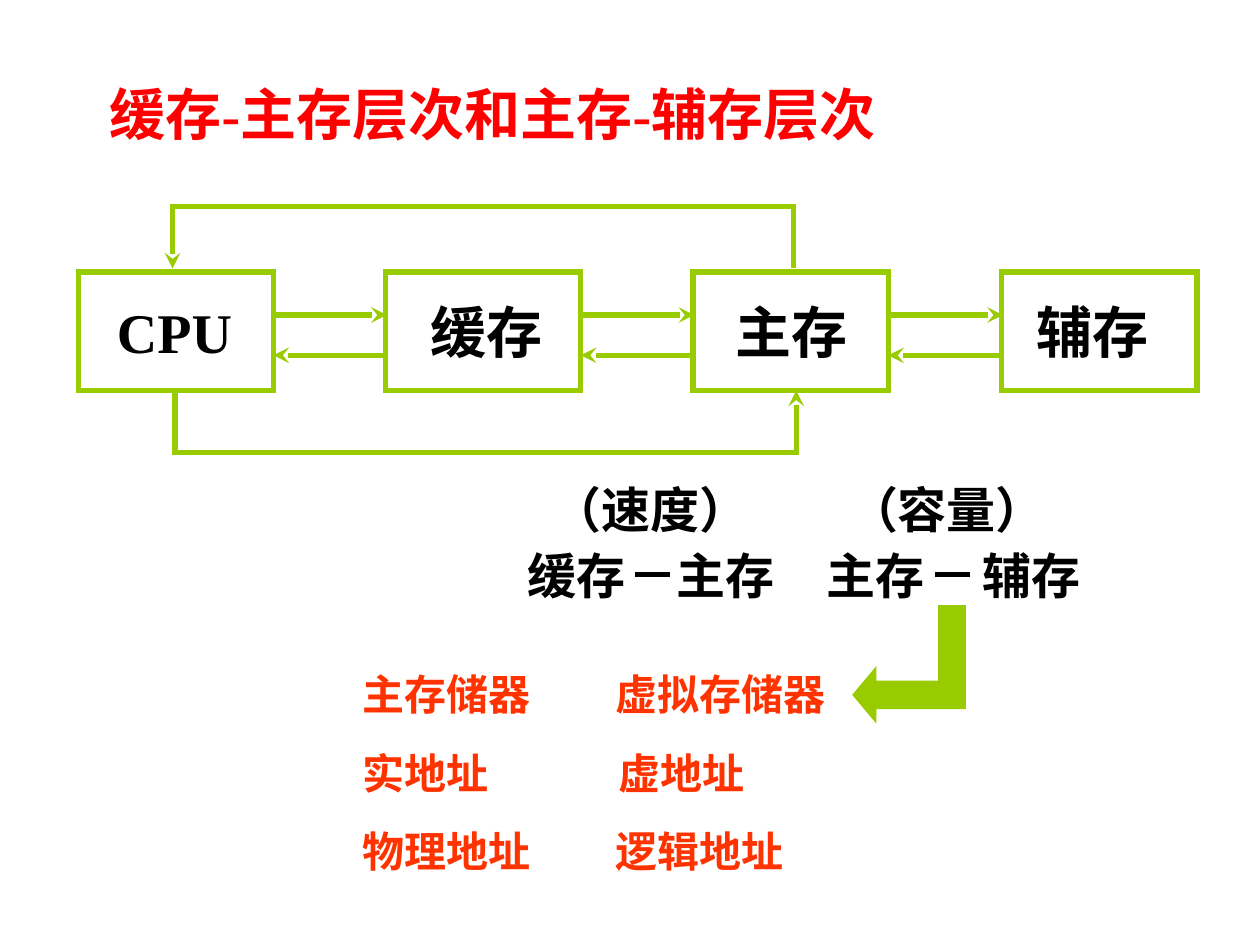
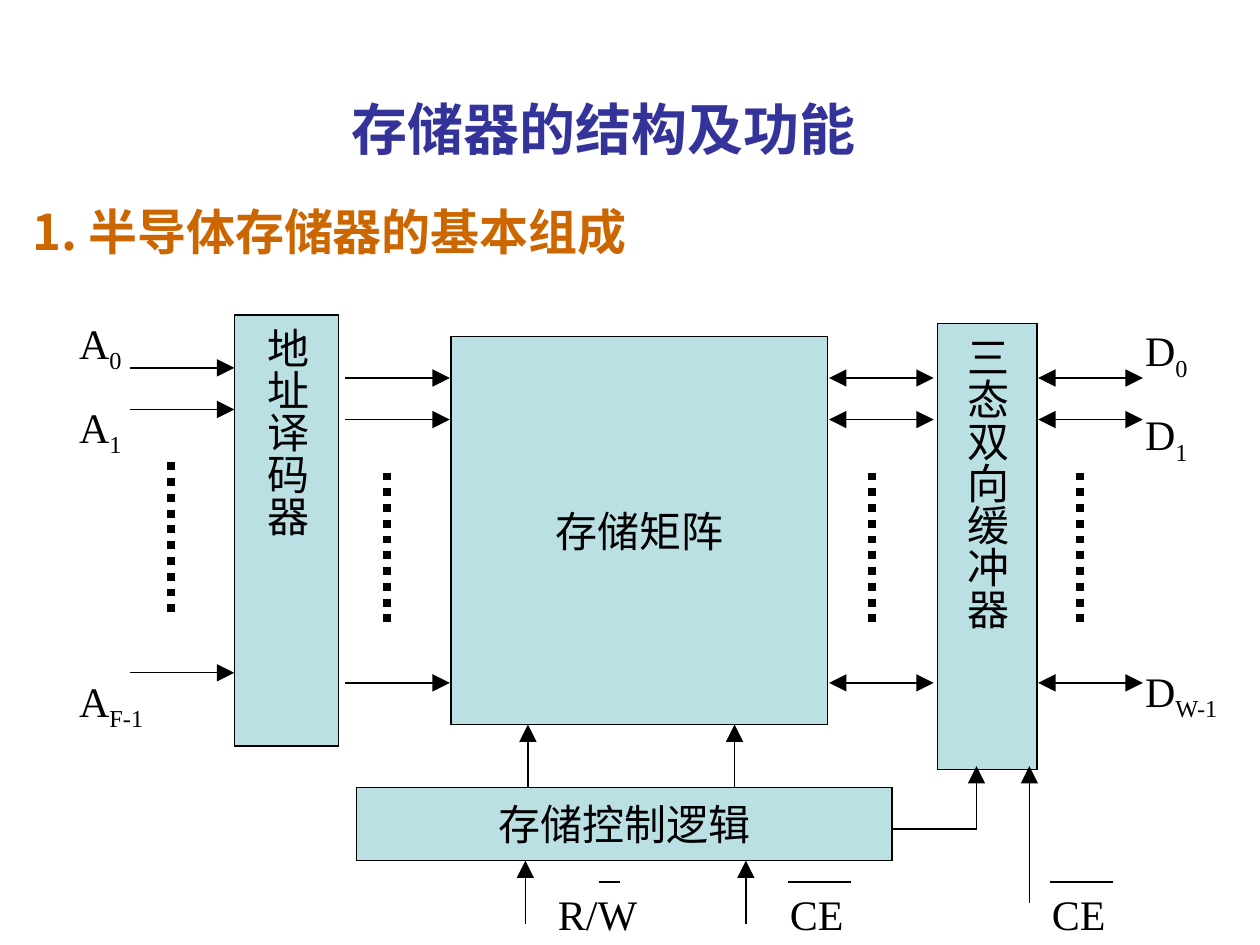
from itertools import pairwise

from lxml import etree
from pptx import Presentation
from pptx.dml.color import RGBColor
from pptx.enum.dml import MSO_LINE
from pptx.enum.shapes import MSO_CONNECTOR, MSO_SHAPE
from pptx.enum.text import MSO_ANCHOR, MSO_AUTO_SIZE, PP_ALIGN
from pptx.oxml.ns import qn
from pptx.util import Pt

PX = 9144
RECTANGLE = MSO_SHAPE.RECTANGLE
LEFT_ARROW = MSO_SHAPE.LEFT_ARROW
ROUNDED_PROCESS = MSO_SHAPE.FLOWCHART_ALTERNATE_PROCESS
STRAIGHT = MSO_CONNECTOR.STRAIGHT
DOTTED = MSO_LINE.ROUND_DOT
MIDDLE = MSO_ANCHOR.MIDDLE
TOP = MSO_ANCHOR.TOP
CENTER = PP_ALIGN.CENTER
LEFT = PP_ALIGN.LEFT
GROW = MSO_AUTO_SIZE.SHAPE_TO_FIT_TEXT

SERIF = "Times New Roman"
SANS = "Noto Sans CJK SC"
ARROW_SIZES = {"stealth": "med", "triangle": "lg"}
COLORS = {
    "black": "000000",
    "green": "99CC00",
    "red": "FF0000",
    "orange": "FF3300",
    "navy": "333399",
    "brown": "CC6600",
    "aqua": "BBE0E3",
}


def emu(*lengths):
    return [length * PX for length in lengths]


class Deck:
    """Hold the shared style and the slide being drawn."""

    def __init__(self):
        self.presentation = Presentation()
        self.presentation.slide_width, self.presentation.slide_height = emu(1000, 750)
        self.slide = None

    def new_slide(self):
        self.slide = self.presentation.slides.add_slide(self.presentation.slide_layouts[6])

    def color(self, name):
        return RGBColor.from_string(COLORS[name])

    def style_paragraph(self, paragraph, size, color="black", bold=False, font=SERIF, align=LEFT):
        paragraph.alignment = align
        paragraph.font.size = Pt(size)
        paragraph.font.bold = bold
        paragraph.font.color.rgb = self.color(color)
        paragraph.font.name = font
        etree.SubElement(paragraph.font._rPr, qn("a:ea"), typeface=SANS)

    def style_line(self, shape, color, width, head=None, tail=None):
        shape.line.color.rgb = self.color(color)
        shape.line.width = Pt(width)
        outline = shape.line._get_or_add_ln()
        etree.SubElement(outline, qn("a:miter"), lim="800000")
        for end, kind in (("headEnd", head), ("tailEnd", tail)):
            if kind:
                size = ARROW_SIZES[kind]
                etree.SubElement(outline, qn(f"a:{end}"), type=kind, w=size, len=size)

    def text(self, at, words, size, wrap=False, grow=True, anchor=TOP, **style):
        frame = self.slide.shapes.add_textbox(*emu(*at)).text_frame
        frame.word_wrap = wrap
        frame.vertical_anchor = anchor
        if grow:
            frame.auto_size = GROW
        frame.text = words
        self.style_paragraph(frame.paragraphs[0], size, **style)

    def signals(self, at, letter, indexes, gaps):
        frame = self.slide.shapes.add_textbox(*emu(*at)).text_frame
        frame.word_wrap = True
        for number, (index, gap) in enumerate(zip(indexes, gaps)):
            paragraph = frame.add_paragraph() if number else frame.paragraphs[0]
            paragraph.space_before = Pt(gap)
            self.style_paragraph(paragraph, 24)
            paragraph.add_run().text = letter
            subscript = paragraph.add_run()
            subscript.text = index
            subscript.font._rPr.set("baseline", "-25000")

    def box(self, at, kind=RECTANGLE, fill=None, line=None, width=0.75):
        shape = self.slide.shapes.add_shape(kind, *emu(*at))
        shape.shadow.inherit = False
        if fill:
            shape.fill.solid()
            shape.fill.fore_color.rgb = self.color(fill)
        else:
            shape.fill.background()
        if line:
            self.style_line(shape, line, width)
        else:
            shape.line.fill.background()
        return shape

    def label(self, shape, words, size, vertical=False, anchor=MIDDLE, **style):
        frame = shape.text_frame
        frame.word_wrap = vertical
        frame.vertical_anchor = anchor
        if vertical:
            frame._txBody.bodyPr.set("vert", "eaVert")
            frame.margin_left, frame.margin_top, frame.margin_right, frame.margin_bottom = emu(5, 10, 5, 10)
        frame.text = words
        self.style_paragraph(frame.paragraphs[0], size, **style)

    def line(self, start, end, color="black", width=0.75, dash=None, head=None, tail=None):
        connector = self.slide.shapes.add_connector(STRAIGHT, *emu(*start, *end))
        if dash:
            connector.line.dash_style = dash
        self.style_line(connector, color, width, head, tail)
        etree.SubElement(connector._element.spPr, qn("a:effectLst"))

    def bent_arrow(self, points, color, width):
        builder = self.slide.shapes.build_freeform(*points[0], scale=PX)
        builder.add_line_segments(points[1:], close=False)
        shape = builder.convert_to_shape()
        shape.shadow.inherit = False
        shape.fill.background()
        self.style_line(shape, color, width, tail="stealth")


def draw_hierarchy(deck):
    deck.new_slide()
    box_width = 155
    lefts = [62 + 733 * number // 3 for number in range(4)]
    labels = (("CPU", 83, 134), ("缓存", 332, 131), ("主存", 574, 115), ("辅存", 813, 131))
    for left, (name, label_left, label_width) in zip(lefts, labels):
        deck.text((label_left, 231, label_width, 64), name, 32, wrap=True, bold=True)
        deck.box((left, 216, box_width, 94), line="green", width=3)

    deck.bent_arrow([(139, 310), (139, 359), (632, 359), (632, 310)], "green", 3)
    deck.bent_arrow([(630, 213), (630, 164), (137, 164), (137, 213)], "green", 3)
    arrow = {"color": "green", "width": 3, "tail": "stealth"}
    for left, following in pairwise(lefts):
        right = left + box_width
        deck.line((right, 250), (following + 1, 250), **arrow)
        deck.line((following, 282), (right, 282), **arrow)

    deck.text((77, 58, 675, 64), "缓存-主存层次和主存-辅存层次", 32, color="red", bold=True)

    pairs = (
        ("（速度）", 429, "缓存", 409, "主存", 527, 504),
        ("（容量）", 664, "主存", 646, "辅存", 770, 742),
    )
    for purpose, purpose_left, first, first_left, second, second_left, dash_left in pairs:
        deck.text((purpose_left, 376, 178, 57), purpose, 28, bold=True)
        deck.text((first_left, 428, 100, 57), first, 28, bold=True)
        deck.text((second_left, 428, 100, 57), second, 28, bold=True)
        deck.line((dash_left, 456), (dash_left + 28, 456), width=3)

    deck.box((745, 481, 21, 60), fill="green", line="green")
    pointer = deck.box((677, 530, 89, 43), LEFT_ARROW, fill="green", line="green")
    pointer.adjustments[0], pointer.adjustments[1] = 0.5, 0.42

    term = {"size": 24, "color": "orange", "bold": True}
    terms = (
        ("主存储器", 278, 526, 156),
        ("实地址", 278, 588, 123),
        ("物理地址", 278, 650, 156),
        ("虚拟存储器", 479, 526, 190),
        ("逻辑地址", 479, 650, 156),
    )
    for words, left, top, width in terms:
        deck.text((left, top, width, 50), words, **term)
    virtual_address = deck.box((478, 586, 125, 56), ROUNDED_PROCESS)
    deck.label(virtual_address, "虚地址", anchor=TOP, **term)


def draw_memory_structure(deck):
    deck.new_slide()
    deck.text((0, 60, 958, 84), "存储器的结构及功能", 32, wrap=True, grow=False, anchor=MIDDLE,
              color="navy", bold=True, font=SANS, align=CENTER)
    deck.text((16, 155, 850, 62), "1. 半导体存储器的基本组成", 28, wrap=True, grow=False,
              color="brown", bold=True, font=SANS)

    blocks = (
        ("存储矩阵", (358, 267, 299, 308), False),
        ("地址译码器", (186, 250, 83, 342), True),
        ("三态双向缓冲器", (744, 257, 79, 354), True),
        ("存储控制逻辑", (283, 625, 425, 58), False),
    )
    for name, at, vertical in blocks:
        block = deck.box(at, fill="aqua", line="black")
        deck.label(block, name, 24, vertical, align=CENTER)

    buses = (
        (103, 292, 136, None),
        (274, 300, 307, None),
        (658, 300, 692, "triangle"),
        (824, 300, 857, "triangle"),
    )
    for left, top, dots_left, head in buses:
        for drop in (0, 33, 242):
            deck.line((left, top + drop), (left + 83, top + drop), head=head, tail="triangle")
        deck.line((dots_left, top + 75), (dots_left, top + 200), width=4.5, dash=DOTTED)

    risers = (
        (419, 625, 575), (583, 625, 575), (592, 733, 683),
        (417, 733, 683), (817, 717, 608), (775, 658, 608),
    )
    for x, bottom, top in risers:
        deck.line((x, bottom), (x, top), tail="triangle")
    deck.line((708, 658), (775, 658))

    deck.signals((53, 247, 92, 341), "A", ("0", "1", "F-1"), (15, 15, 124))
    deck.signals((899, 253, 92, 325), "D", ("0", "1", "W-1"), (15, 15, 114))

    controls = (
        ("R/W", 433, 100, 475, 17),
        ("CE", 617, 125, 625, 50),
        ("CE", 825, 92, 833, 50),
    )
    for name, left, width, bar_left, bar_width in controls:
        deck.text((left, 700, width, 50), name, 24, wrap=True)
        deck.line((bar_left, 700), (bar_left + bar_width, 700))


def main():
    deck = Deck()
    draw_hierarchy(deck)
    draw_memory_structure(deck)
    deck.presentation.save("out.pptx")


if __name__ == "__main__":
    main()
